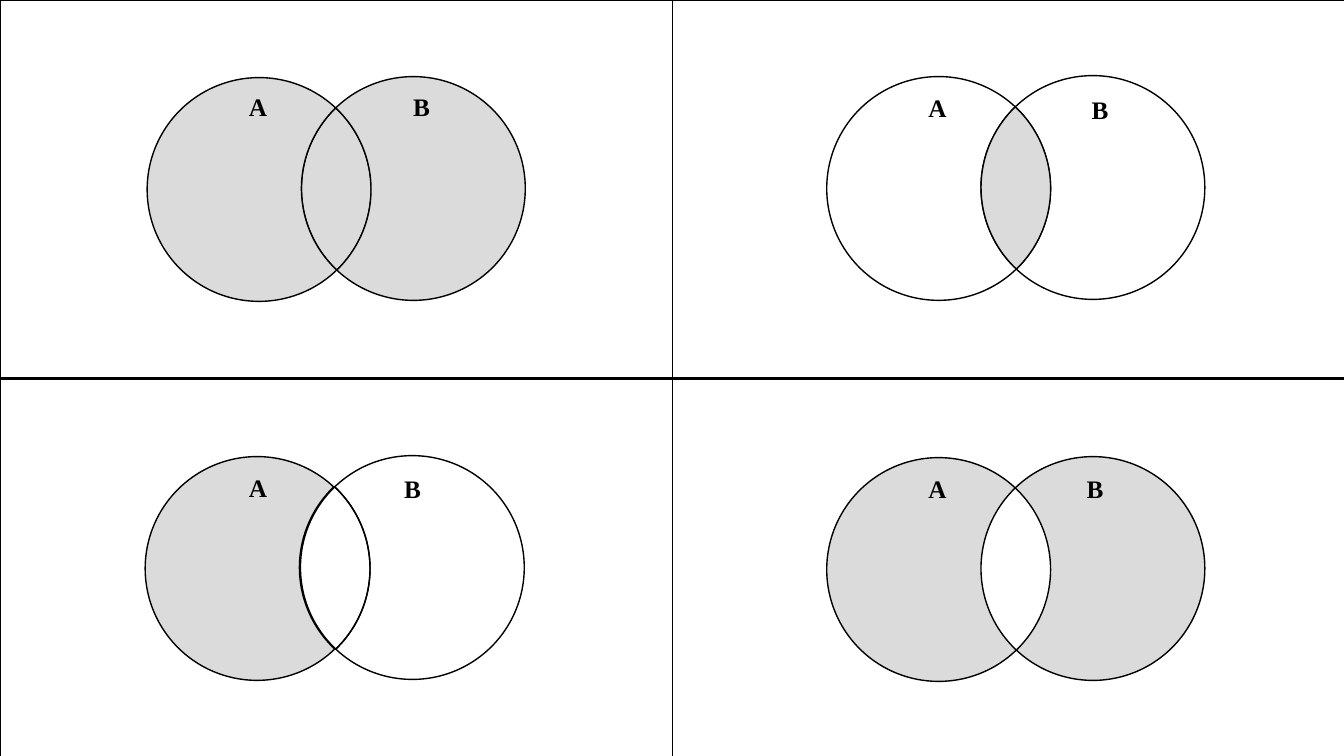
import math
from dataclasses import dataclass

from pptx import Presentation
from pptx.dml.color import RGBColor
from pptx.enum.shapes import MSO_SHAPE
from pptx.enum.text import MSO_AUTO_SIZE
from pptx.oxml.ns import qn
from pptx.util import Inches, Pt

RECTANGLE = MSO_SHAPE.RECTANGLE
FIT_SHAPE = MSO_AUTO_SIZE.SHAPE_TO_FIT_TEXT
BLACK = RGBColor(0x00, 0x00, 0x00)
WHITE = RGBColor(0xFF, 0xFF, 0xFF)
GREY = RGBColor(0xDB, 0xDB, 0xDB)
FONT = "Times New Roman"

PANEL_W, PANEL_H = 6.67, 3.75
ROW_STEP = 3.76
RADIUS = 1.11
B_DX, B_DY = 1.53, -0.01
TILT = math.degrees(math.atan2(B_DY, B_DX))
HALF = math.degrees(math.acos(math.hypot(B_DX, B_DY) / 2 / RADIUS))
ANGLE_UNIT = 60000

Point = tuple[float, float]


@dataclass(frozen=True)
class Arc:
    center: Point
    start: float
    end: float

    def point(self, angle: float) -> Point:
        t = math.radians(angle)
        return (Inches(self.center[0] + RADIUS * math.cos(t)),
                Inches(self.center[1] + RADIUS * math.sin(t)))

    def quarters(self) -> list["Arc"]:
        low, high = sorted((self.start + TILT, self.end + TILT))
        stops = [low, *(q for q in range(-360, 721, 90) if low < q < high), high]
        if self.start > self.end:
            stops.reverse()
        return [Arc(self.center, i, j) for i, j in zip(stops, stops[1:])]


@dataclass(frozen=True)
class Region:
    name: str
    fill: RGBColor | None = None
    dx: float = 0


@dataclass(frozen=True)
class Venn:
    col: int
    row: int
    center_a: Point
    label_a: Point
    label_b: Point
    regions: tuple[Region, ...]


VENNS = (
    Venn(0, 0, (2.57, 1.88), (2.37, 0.86), (4, 0.86),
         (Region("both", GREY), Region("b_only", GREY), Region("a_only", GREY))),
    Venn(0, 1, (2.56, 5.64), (2.37, 4.64), (3.91, 4.65),
         (Region("both"), Region("b_only"), Region("a_only", GREY, -0.01))),
    Venn(1, 0, (9.31, 1.87), (9.11, 0.87), (10.73, 0.89),
         (Region("b_only"), Region("a_only"), Region("both", GREY))),
    Venn(1, 1, (9.31, 5.65), (9.11, 4.65), (10.68, 4.65),
         (Region("b_only", GREY), Region("a_only", GREY))),
)


def outline(name: str, a: Point) -> list[Arc]:
    b = (a[0] + B_DX, a[1] + B_DY)
    if name == "both":
        arcs = Arc(a, -HALF, HALF), Arc(b, 180 - HALF, 180 + HALF)
    elif name == "a_only":
        arcs = Arc(a, HALF, 360 - HALF), Arc(b, 180 + HALF, 180 - HALF)
    else:
        arcs = Arc(b, 180 + HALF, 540 - HALF), Arc(a, HALF, -HALF)
    return [quarter for arc in arcs for quarter in arc.quarters()]


def style(sp, fill: RGBColor | None) -> None:
    sp.shadow.inherit = False
    if fill is None:
        sp.fill.background()
    else:
        sp.fill.solid()
        sp.fill.fore_color.rgb = fill
    sp.line.color.rgb = BLACK
    sp.line.width = Pt(1)


def round_sides(sp, arcs: list[Arc]) -> None:
    sides = list(sp._element.iter(qn("a:lnTo")))
    for side, arc in zip(sides, arcs):
        curve = side.makeelement(qn("a:arcTo"), {
            "wR": str(Inches(RADIUS)),
            "hR": str(Inches(RADIUS)),
            "stAng": str(round(arc.start % 360 * ANGLE_UNIT)),
            "swAng": str(round((arc.end - arc.start) * ANGLE_UNIT)),
        })
        side.getparent().replace(side, curve)


def add_region(s, region: Region, center_a: Point) -> None:
    arcs = outline(region.name, (center_a[0] + region.dx, center_a[1]))
    builder = s.shapes.build_freeform(*arcs[0].point(arcs[0].start))
    builder.add_line_segments([arc.point(arc.end) for arc in arcs], close=True)
    sp = builder.convert_to_shape()
    round_sides(sp, arcs)
    style(sp, region.fill)


def add_text(s, text: str, at: Point, *, width: float = 0.38, size: float = 18,
             bold: bool = True, color: RGBColor = BLACK) -> None:
    sp = s.shapes.add_textbox(Inches(at[0]), Inches(at[1]), Inches(width), Inches(0.4))
    tf = sp.text_frame
    tf.word_wrap = False
    tf.auto_size = FIT_SHAPE
    r = tf.paragraphs[0].add_run()
    r.text = text
    r.font.name = FONT
    r.font.size = Pt(size)
    r.font.bold = bold
    r.font.color.rgb = color


def add_venn(s, venn: Venn) -> None:
    panel = s.shapes.add_shape(
        RECTANGLE, Inches(venn.col * PANEL_W), Inches(venn.row * ROW_STEP),
        Inches(PANEL_W), Inches(PANEL_H))
    style(panel, WHITE)
    for region in venn.regions:
        add_region(s, region, venn.center_a)
    add_text(s, "A", venn.label_a)
    add_text(s, "B", venn.label_b, width=0.37)


def main() -> None:
    prs = Presentation()
    prs.slide_width, prs.slide_height = Inches(13.33), Inches(7.5)
    s = prs.slides.add_slide(prs.slide_layouts[6])
    for venn in VENNS:
        add_venn(s, venn)
    prs.save("out.pptx")


if __name__ == "__main__":
    main()
